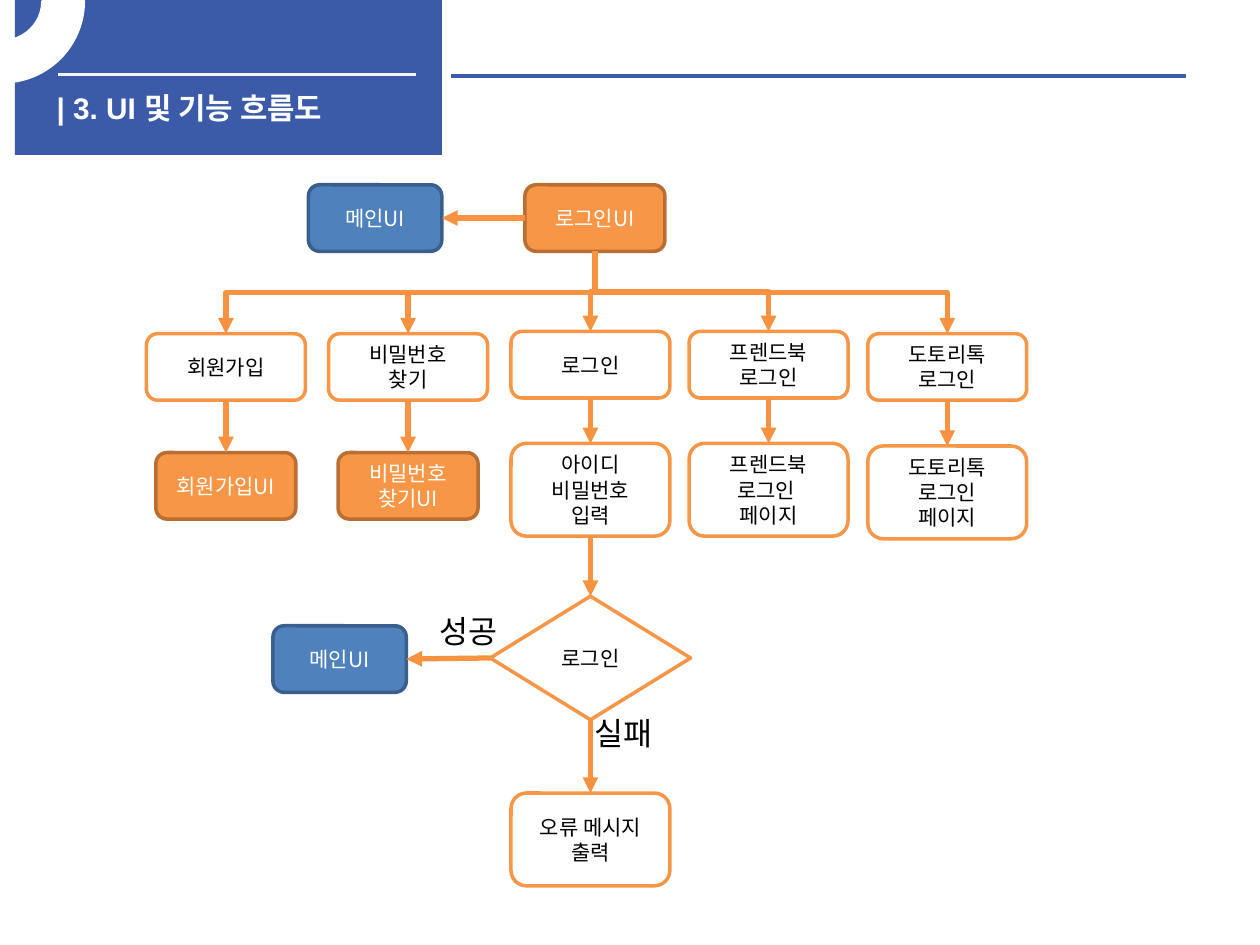
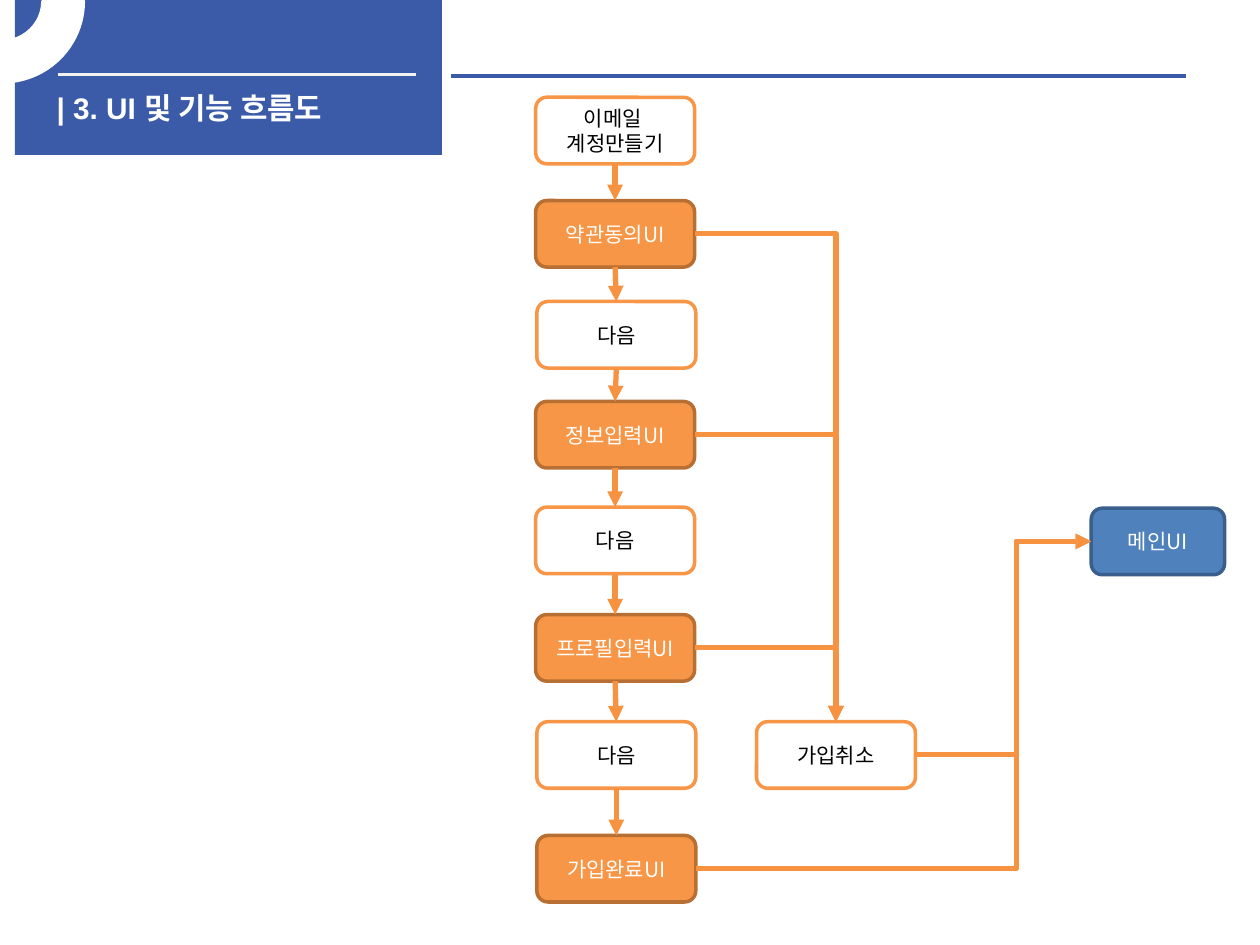
"""Build the two UI and feature flow chart slides."""
from dataclasses import dataclass
from typing import Optional

import pptx
import pptx.dml.color
import pptx.enum.shapes
import pptx.enum.text
import pptx.oxml
import pptx.oxml.ns
import pptx.util
from lxml import etree

Pt = pptx.util.Pt
qn = pptx.oxml.ns.qn
Preset = pptx.enum.shapes.MSO_SHAPE
Line = pptx.enum.shapes.MSO_CONNECTOR
TOP, LEFT, BOTTOM, RIGHT = range(4)


@dataclass(frozen=True)
class Theme:
    """Colours, fonts and type sizes of the deck."""
    band: str = "3B5AA8"
    band_rule: str = "F2F2F2"
    white: str = "FFFFFF"
    black: str = "000000"
    orange: str = "F79646"
    orange_edge: str = "B76F34"
    blue: str = "4F81BD"
    blue_edge: str = "3A5F8C"
    arrow: str = "F69240"
    title_font: str = "Arial"
    body_font: str = "Noto Sans CJK KR"
    title_size: float = 17
    node_size: float = 12
    branch_size: float = 18
    rule_width: float = 2.25
    edge_width: float = 2
    arrow_width: float = 3


THEME = Theme()


@dataclass(frozen=True)
class Style:
    """Look and size of one kind of flow chart node."""
    fill: str
    edge: str
    text: str
    width: float
    height: float
    preset: int = Preset.ROUNDED_RECTANGLE


SCREEN = Style(THEME.orange, THEME.orange_edge, THEME.white, 80, 38)
WIDE_SCREEN = Style(THEME.orange, THEME.orange_edge, THEME.white, 90.8, 38)
MAIN = Style(THEME.blue, THEME.blue_edge, THEME.white, 76.2, 38)
STEP = Style(THEME.white, THEME.orange, THEME.black, 90.8, 38)
TALL_STEP = Style(THEME.white, THEME.orange, THEME.black, 90.8, 53)
DECISION = Style(THEME.white, THEME.orange, THEME.black, 114.5, 70.6, Preset.FLOWCHART_DECISION)


@dataclass(frozen=True)
class Node:
    """A flow chart node placed by its centre line and top."""
    text: str
    style: Style
    centre: float
    top: float


@dataclass(frozen=True)
class Link:
    """An arrow between two node sides, straight unless a bend is named."""
    start: str
    start_side: int
    end: str
    end_side: int
    bend: str = ""
    trunk: Optional[float] = None


@dataclass(frozen=True)
class Branch:
    """A caption beside an arrow leaving a decision."""
    text: str
    left: float
    top: float


def rgb(value: str) -> pptx.dml.color.RGBColor:
    """Turn a hex value into a colour."""
    return pptx.dml.color.RGBColor.from_string(value)


def format_text(frame, font: str, size: float, color: str, bold: bool = False, centred: bool = False) -> None:
    """Apply one type style to every run of a text frame."""
    for paragraph in frame.paragraphs:
        if centred:
            paragraph.alignment = pptx.enum.text.PP_ALIGN.CENTER
        for run in paragraph.runs:
            run.font.name, run.font.size, run.font.bold = font, Pt(size), bold
            run.font.color.rgb = rgb(color)
            east_asian = etree.SubElement(run.font._element, qn("a:ea"))
            east_asian.set("typeface", THEME.body_font)


def add_figure(slide, preset: int, left: float, top: float, width: float, height: float,
               fill: str, edge: Optional[str] = None):
    """Add a flat filled preset shape."""
    figure = slide.shapes.add_shape(preset, Pt(left), Pt(top), Pt(width), Pt(height))
    figure.shadow.inherit = False
    figure.fill.solid()
    figure.fill.fore_color.rgb = rgb(fill)
    if edge:
        figure.line.color.rgb = rgb(edge)
        figure.line.width = Pt(THEME.edge_width)
    else:
        figure.line.fill.background()
    return figure


def add_line(slide, kind: int, color: str, width: float, start=(0, 0), end=(0, 0)):
    """Add a connector without a shadow."""
    line = slide.shapes.add_connector(kind, *(Pt(value) for value in (*start, *end)))
    line.line.color.rgb = rgb(color)
    line.line.width = Pt(width)
    etree.SubElement(line._element.spPr, qn("a:effectLst"))
    return line


def add_caption(slide, text: str, left: float, top: float, width: float, height: float):
    """Add a text box and return its frame."""
    frame = slide.shapes.add_textbox(Pt(left), Pt(top), Pt(width), Pt(height)).text_frame
    frame.text = text
    return frame


def add_header(slide) -> None:
    """Draw the title band, its rules, the ring and the title."""
    add_figure(slide, Preset.RECTANGLE, 8.6, 0, 244, 88.6, THEME.band)
    add_line(slide, Line.STRAIGHT, THEME.band_rule, THEME.rule_width, (33, 42.6), (237.6, 42.6))
    add_line(slide, Line.STRAIGHT, THEME.band, THEME.rule_width, (257.8, 43.3), (677.5, 43.3))
    ring = add_figure(slide, Preset.BLOCK_ARC, -45.4, -45.4, 93, 92.2, THEME.white, THEME.white)
    for index, value in enumerate((0, 119.05, 0.25)):
        ring.adjustments[index] = value
    title = add_caption(slide, "| 3. UI 및 기능 흐름도", 25.2, 47.5, 293.8, 46)
    title.word_wrap = True
    format_text(title, THEME.title_font, THEME.title_size, THEME.white, bold=True)


def add_node(slide, node: Node):
    """Draw a node with its centred text."""
    style = node.style
    figure = add_figure(slide, style.preset, node.centre - style.width / 2, node.top,
                        style.width, style.height, style.fill, style.edge)
    frame = figure.text_frame
    frame.word_wrap = True
    frame.vertical_anchor = pptx.enum.text.MSO_ANCHOR.MIDDLE
    frame.text = node.text
    format_text(frame, THEME.body_font, THEME.node_size, style.text, centred=True)
    return figure


def turn_downward(arrow) -> None:
    """Rotate an elbow so that it leaves and arrives vertically."""
    across, down = arrow.end_x - arrow.begin_x, arrow.end_y - arrow.begin_y
    middle_x, middle_y = (arrow.begin_x + arrow.end_x) // 2, (arrow.begin_y + arrow.end_y) // 2
    frame = arrow._element.spPr.find(qn("a:xfrm"))
    for flip in ("flipH", "flipV"):
        frame.attrib.pop(flip, None)
    frame.set("rot", str((270 if across > 0 else 90) * 60000))
    if across > 0:
        frame.set("flipH", "1")
    arrow.width, arrow.height = down, abs(across)
    arrow.left, arrow.top = middle_x - down // 2, middle_y - abs(across) // 2


def add_link(slide, link: Link, figures: dict) -> None:
    """Join two nodes with an arrow."""
    kind = Line.ELBOW if link.bend else Line.STRAIGHT
    arrow = add_line(slide, kind, THEME.arrow, THEME.arrow_width)
    arrow.begin_connect(figures[link.start], link.start_side)
    arrow.end_connect(figures[link.end], link.end_side)
    properties = arrow._element.spPr
    etree.SubElement(properties.find(qn("a:ln")), qn("a:tailEnd")).set("type", "triangle")
    geometry = properties.find(qn("a:prstGeom"))
    if link.bend == "down":
        turn_downward(arrow)
    elif link.bend == "corner":
        geometry.set("prst", "bentConnector2")
    if link.trunk is not None:
        share = (Pt(link.trunk) - arrow.begin_x) / (arrow.end_x - arrow.begin_x)
        guide = etree.SubElement(geometry.find(qn("a:avLst")), qn("a:gd"))
        guide.set("name", "adj1")
        guide.set("fmla", f"val {round(share * 100000)}")


def add_flow(deck, nodes: dict, links: list, branches: tuple = ()) -> None:
    """Add a slide holding one flow chart."""
    slide = deck.slides.add_slide(deck.slide_layouts[6])
    add_header(slide)
    figures = {key: add_node(slide, node) for key, node in nodes.items()}
    for link in links:
        add_link(slide, link, figures)
    for branch in branches:
        frame = add_caption(slide, branch.text, branch.left, branch.top, 51, 29)
        frame.word_wrap = False
        frame.auto_size = pptx.enum.text.MSO_AUTO_SIZE.SHAPE_TO_FIT_TEXT
        format_text(frame, THEME.body_font, THEME.branch_size, THEME.black)


def add_login_flow(deck) -> None:
    """Add the flow that starts at the login screen."""
    nodes = {
        "login screen": Node("로그인UI", SCREEN, 340, 105.6),
        "main": Node("메인UI", MAIN, 214.4, 105.6),
        "decision": Node("로그인", DECISION, 337.4, 340.7),
        "main after login": Node("메인UI", MAIN, 194.1, 357.6),
        "error": Node("오류 메시지 출력", TALL_STEP, 337.4, 453.2),
    }
    links = [Link("login screen", LEFT, "main", RIGHT)]
    options = [
        ("회원가입", "회원가입UI", SCREEN, 129.1, 190.7, 258.6),
        ("비밀번호\n찾기", "비밀번호\n찾기UI", SCREEN, 233.2, 190.7, 258.6),
        ("로그인", "아이디\n비밀번호\n입력", TALL_STEP, 337.4, 189.4, 253.4),
        ("프렌드북\n로그인", "프렌드북\n로그인 \n페이지", TALL_STEP, 439.2, 189.4, 253.4),
        ("도토리톡\n로그인", "도토리톡\n로그인\n페이지", TALL_STEP, 541.3, 190.7, 254.9),
    ]
    for option, result, style, centre, option_top, result_top in options:
        nodes[option] = Node(option, STEP, centre, option_top)
        nodes[result] = Node(result, style, centre, result_top)
        links += [Link("login screen", BOTTOM, option, TOP, "down"), Link(option, BOTTOM, result, TOP)]
    links += [
        Link("아이디\n비밀번호\n입력", BOTTOM, "decision", TOP),
        Link("decision", LEFT, "main after login", RIGHT),
        Link("decision", BOTTOM, "error", TOP),
    ]
    add_flow(deck, nodes, links, (Branch("성공", 244.1, 346.3), Branch("실패", 332.6, 404.6)))


def add_signup_flow(deck) -> None:
    """Add the flow that creates an e-mail account."""
    stages = {
        "account": Node("이메일 \n계정만들기", STEP, 351.5, 55.6),
        "terms": Node("약관동의UI", WIDE_SCREEN, 351.5, 114.6),
        "terms next": Node("다음", STEP, 352.2, 172.3),
        "details": Node("정보입력UI", WIDE_SCREEN, 351.5, 229.4),
        "details next": Node("다음", STEP, 351.5, 289.8),
        "profile": Node("프로필입력UI", WIDE_SCREEN, 351.5, 351.2),
        "profile next": Node("다음", STEP, 352.2, 412.4),
        "done": Node("가입완료UI", WIDE_SCREEN, 352.2, 477.4),
    }
    nodes = {
        **stages,
        "cancel": Node("가입취소", STEP, 477.7, 412.4),
        "main": Node("메인UI", MAIN, 661.7, 290.4),
    }
    names = list(stages)
    links = [Link(above, BOTTOM, below, TOP) for above, below in zip(names, names[1:])]
    links += [Link(screen, RIGHT, "cancel", TOP, "corner") for screen in ("terms", "details", "profile")]
    links += [Link(ending, RIGHT, "main", LEFT, "across", 580.7) for ending in ("cancel", "done")]
    add_flow(deck, nodes, links)


def main() -> None:
    """Build and save the deck."""
    deck = pptx.Presentation()
    deck.slide_width, deck.slide_height = Pt(720), Pt(540)
    add_login_flow(deck)
    add_signup_flow(deck)
    deck.save("out.pptx")


if __name__ == "__main__":
    main()
